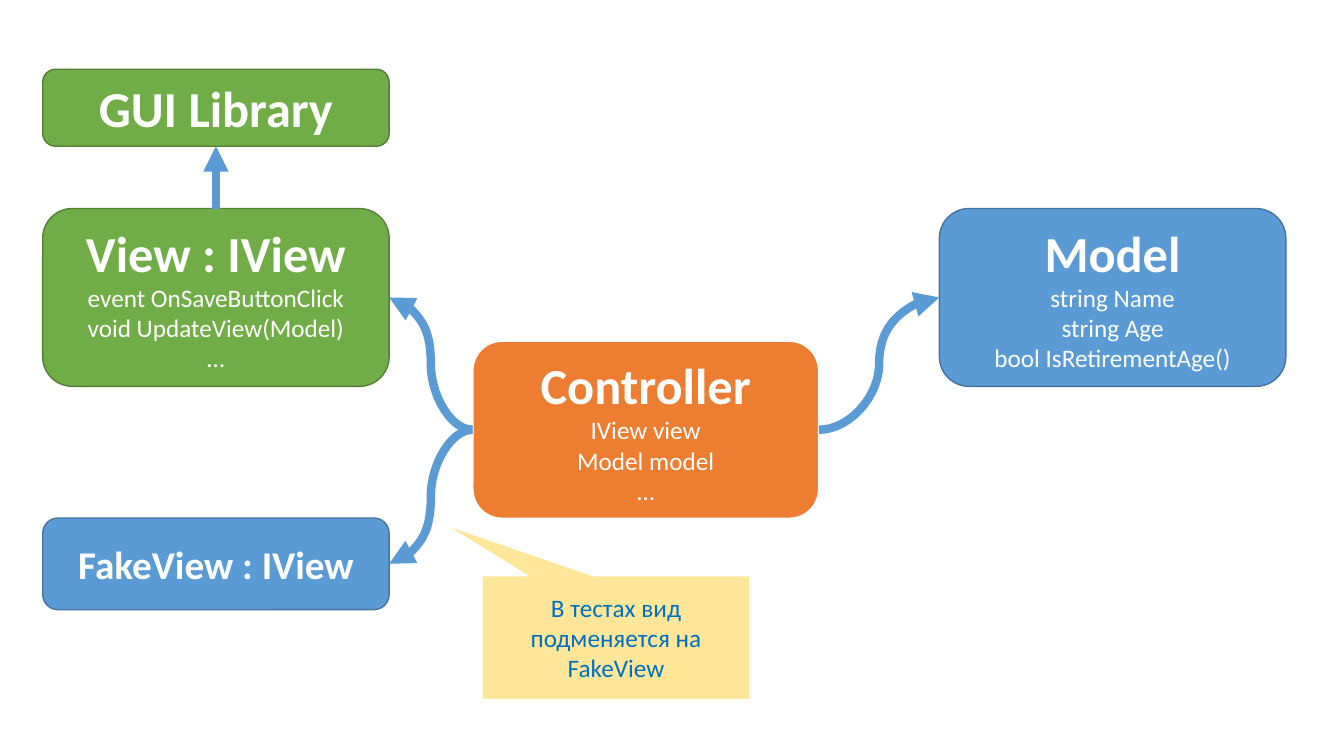
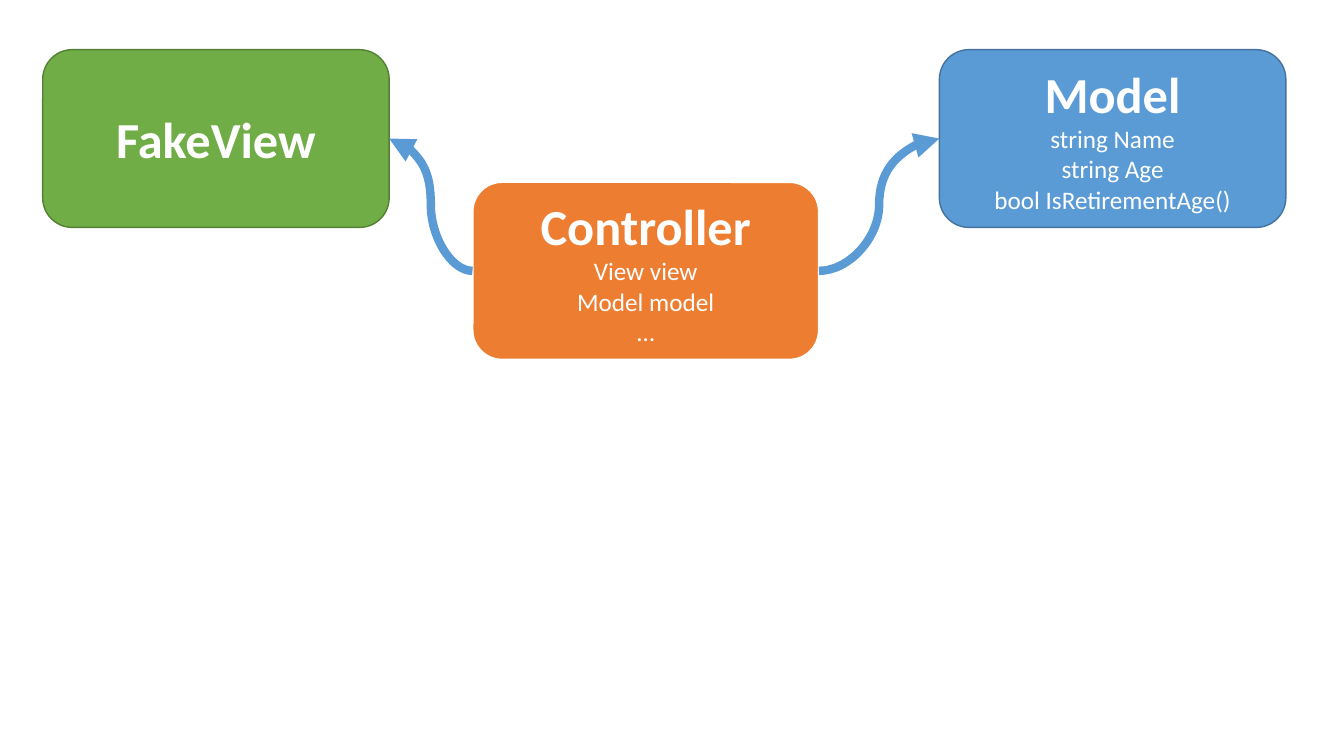
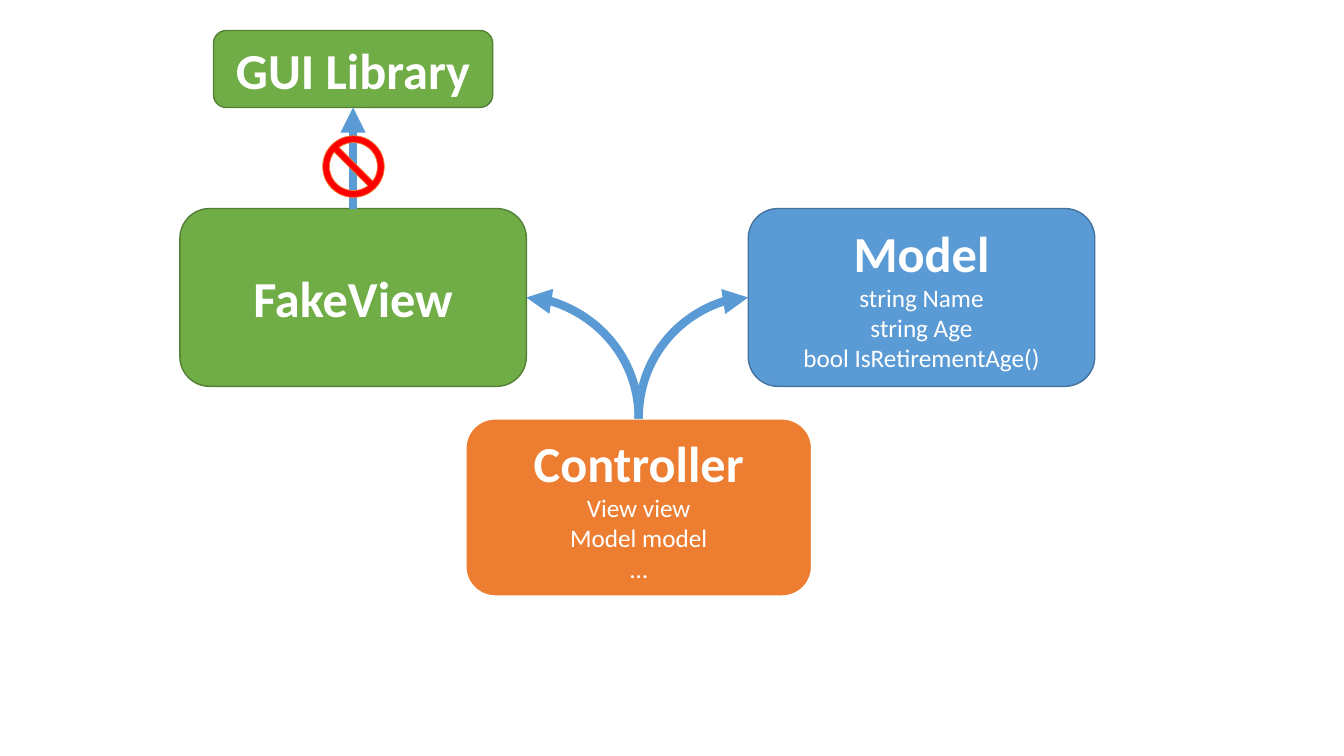
from lxml.etree import SubElement
from pptx import Presentation
from pptx.dml.color import RGBColor
from pptx.enum.shapes import MSO_CONNECTOR as LINK, MSO_SHAPE as SHAPE
from pptx.enum.text import PP_ALIGN as ALIGN
from pptx.oxml.ns import qn
from pptx.util import Pt

WHITE = RGBColor(0xFF, 0xFF, 0xFF)
GREEN = RGBColor(0x70, 0xAD, 0x47)
DARK_GREEN = RGBColor(0x53, 0x80, 0x35)
BLUE = RGBColor(0x5B, 0x9B, 0xD5)
DARK_BLUE = RGBColor(0x43, 0x73, 0x9E)
ORANGE = RGBColor(0xED, 0x7D, 0x31)
YELLOW = RGBColor(0xFF, 0xE6, 0x99)
NOTE_BLUE = RGBColor(0x00, 0x70, 0xC0)
RED = RGBColor(0xFF, 0x00, 0x00)

VIEW_STYLE = (GREEN, DARK_GREEN, 1)
MODEL_STYLE = (BLUE, DARK_BLUE, 1)
CONTROLLER_STYLE = (ORANGE, WHITE, 1.5)
NOTE_STYLE = (YELLOW, WHITE, 1.5)
BAN_STYLE = (RED, ORANGE, 0.5)

TOP, LEFT, BOTTOM, RIGHT = range(4)
WIDTH, HEIGHT = 247.5, 127
GUI_HEIGHT = 55
VIEW_LEFT, CONTROLLER_LEFT, MODEL_LEFT = 30.5, 337.5, 671
MODEL_MEMBERS = ["string Name", "string Age", "bool IsRetirementAge()"]
CONTROLLER_MEMBERS = ["View view\vModel model", "…"]


def add_block(slide, kind, place, style, heading="", details=(), size=36, ink=WHITE):
    block = slide.shapes.add_shape(kind, *map(Pt, place))
    fill, outline, thickness = style
    block.shadow.inherit = False
    block.fill.solid()
    block.fill.fore_color.rgb = fill
    block.line.color.rgb = outline
    block.line.width = Pt(thickness)
    texts = [(heading, size, True)] if heading else []
    texts += [(detail, 18, False) for detail in details]
    for index, (text, points, bold) in enumerate(texts):
        frame = block.text_frame
        paragraph = frame.add_paragraph() if index else frame.paragraphs[0]
        paragraph.text = text
        paragraph.alignment = ALIGN.CENTER
        paragraph.font.name = "Calibri"
        paragraph.font.size = Pt(points)
        paragraph.font.bold = bold
        paragraph.font.color.rgb = ink
    return block


def add_arrow(slide, kind, start, start_side, end, end_side, tip="a:tailEnd"):
    arrow = slide.shapes.add_connector(kind, 0, 0, 0, 0)
    arrow.begin_connect(start, start_side)
    arrow.end_connect(end, end_side)
    arrow.line.color.rgb = BLUE
    arrow.line.width = Pt(6)
    properties = arrow.line._get_or_add_ln()
    SubElement(properties, qn(tip), type="triangle")
    SubElement(properties.getparent(), qn("a:effectLst"))
    return arrow


deck = Presentation()
deck.slide_width, deck.slide_height = Pt(960), Pt(540)
blank = deck.slide_layouts[6]
substitution, fake_only, isolated = [deck.slides.add_slide(blank) for _ in range(3)]

view_members = ["event OnSaveButtonClick", "void UpdateView(Model)", "…"]
wide_layouts = [
    (substitution, 149, "View : IView", view_members, ["IView view\vModel model", "…"]),
    (fake_only, 35.5, "FakeView", [], CONTROLLER_MEMBERS),
]
for slide, top, view_name, members, controller_members in wide_layouts:
    view = add_block(slide, SHAPE.ROUNDED_RECTANGLE, (VIEW_LEFT, top, WIDTH, HEIGHT),
                     VIEW_STYLE, view_name, members)
    model = add_block(slide, SHAPE.ROUNDED_RECTANGLE, (MODEL_LEFT, top, WIDTH, HEIGHT),
                      MODEL_STYLE, "Model", MODEL_MEMBERS)
    controller = add_block(slide, SHAPE.ROUNDED_RECTANGLE,
                           (CONTROLLER_LEFT, top + 94.5, WIDTH, HEIGHT),
                           CONTROLLER_STYLE, "Controller", controller_members)
    add_arrow(slide, LINK.CURVE, controller, LEFT, view, RIGHT)
    add_arrow(slide, LINK.CURVE, controller, RIGHT, model, LEFT)

    if slide is substitution:
        gui = add_block(slide, SHAPE.ROUNDED_RECTANGLE, (VIEW_LEFT, 49.5, WIDTH, GUI_HEIGHT),
                        VIEW_STYLE, "GUI Library")
        add_arrow(slide, LINK.STRAIGHT, view, TOP, gui, BOTTOM)
        fake = add_block(slide, SHAPE.ROUNDED_RECTANGLE, (VIEW_LEFT, 370, WIDTH, 65.5),
                         MODEL_STYLE, "FakeView : IView", size=28)
        add_arrow(slide, LINK.CURVE, controller, LEFT, fake, RIGHT)
        note = add_block(slide, SHAPE.RECTANGULAR_CALLOUT, (344, 411, 192, 89), NOTE_STYLE,
                         details=["В тестах вид подменяется на FakeView"], ink=NOTE_BLUE)
        note.adjustments[0] = -0.65
        note.adjustments[1] = -0.92

fake = add_block(isolated, SHAPE.ROUNDED_RECTANGLE, (128.5, 149, WIDTH, HEIGHT),
                 VIEW_STYLE, "FakeView")
model = add_block(isolated, SHAPE.ROUNDED_RECTANGLE, (534.5, 149, WIDTH, HEIGHT),
                  MODEL_STYLE, "Model", MODEL_MEMBERS)
controller = add_block(isolated, SHAPE.ROUNDED_RECTANGLE, (332.5, 299, WIDTH, HEIGHT),
                       CONTROLLER_STYLE, "Controller", CONTROLLER_MEMBERS)
for target, side in [(fake, RIGHT), (model, LEFT)]:
    bend = add_arrow(isolated, LINK.CURVE, target, side, controller, TOP, "a:headEnd")
    bend._element.spPr.find(qn("a:prstGeom")).set("prst", "curvedConnector2")
gui = add_block(isolated, SHAPE.ROUNDED_RECTANGLE, (152.5, 21.8, 199.5, GUI_HEIGHT),
                VIEW_STYLE, "GUI Library")
add_arrow(isolated, LINK.STRAIGHT, fake, TOP, gui, BOTTOM)
ban = add_block(isolated, SHAPE.NO_SYMBOL, (230.5, 97, 44, 44), BAN_STYLE)
ban.adjustments[0] = 0.11

deck.save("out.pptx")
